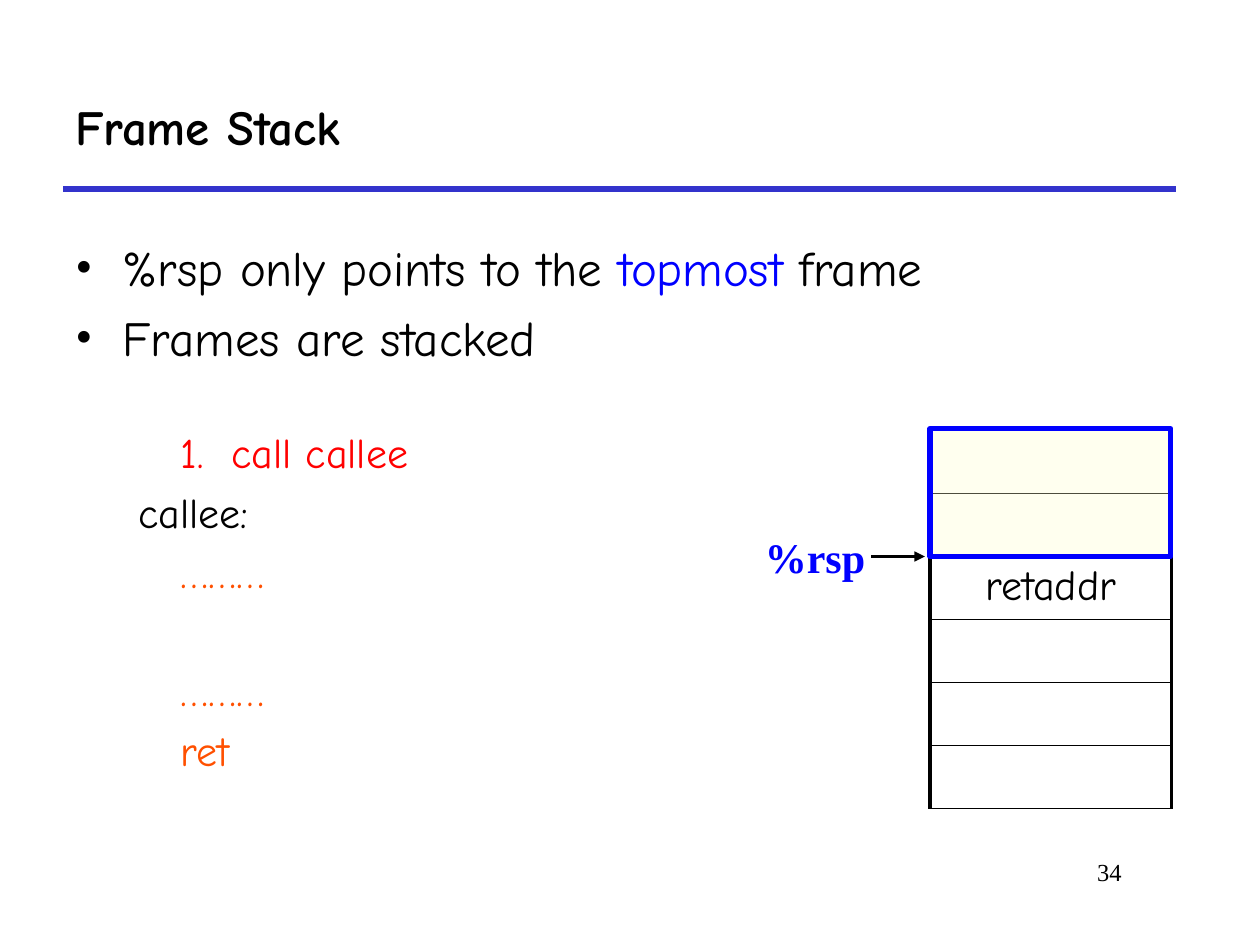
import pptx
import pptx.dml.color
import pptx.enum.shapes
import pptx.enum.text
import pptx.oxml
import pptx.oxml.ns
import pptx.util
from lxml import etree

Pt = pptx.util.Pt
RGBColor = pptx.dml.color.RGBColor
ALIGN = pptx.enum.text.PP_ALIGN
ANCHOR = pptx.enum.text.MSO_ANCHOR
qn = pptx.oxml.ns.qn

BLACK = RGBColor(0x00, 0x00, 0x00)
WHITE = RGBColor(0xFF, 0xFF, 0xFF)
BLUE = RGBColor(0x00, 0x00, 0xFF)
RULE_BLUE = RGBColor(0x33, 0x33, 0xCC)
RED = RGBColor(0xFF, 0x00, 0x00)
ORANGE = RGBColor(0xFF, 0x50, 0x00)
PALE_YELLOW = RGBColor(0xFF, 0xFF, 0xCC)
COMIC = "Comic Neue"
TIMES = "Times New Roman"

deck = pptx.Presentation()
deck.slide_width, deck.slide_height = Pt(720), Pt(540)
page = deck.slides.add_slide(deck.slide_layouts[6])


def add_text(left, top, width, height, lines, size, font=COMIC, bold=False, wrap=True):
    box = page.shapes.add_textbox(Pt(left), Pt(top), Pt(width), Pt(height))
    frame = box.text_frame
    frame.word_wrap = wrap
    for index, (spans, margin, hanging, before) in enumerate(lines):
        para = frame.paragraphs[0] if index == 0 else frame.add_paragraph()
        properties = para._p.get_or_add_pPr()
        properties.set("marL", str(int(Pt(margin))))
        properties.set("indent", str(int(Pt(-hanging))))
        if hanging:
            etree.SubElement(properties, qn("a:buFont")).set("typeface", TIMES)
            etree.SubElement(properties, qn("a:buChar")).set("char", "•")
        if index:
            para.space_before = Pt(before)
        para.font.size, para.font.name, para.font.bold = Pt(size), font, bold
        for text, color in spans:
            span = para.add_run()
            span.text = text
            span.font.color.rgb = color
    return frame


def add_line(start, end, y, color, width):
    line = page.shapes.add_connector(
        pptx.enum.shapes.MSO_CONNECTOR.STRAIGHT, Pt(start), Pt(y), Pt(end), Pt(y))
    line.line.color.rgb = color
    line.line.width = Pt(width)
    etree.SubElement(line._element.spPr, qn("a:effectLst"))
    return line


add_line(36, 672, 108, RULE_BLUE, 3)

table_shape = page.shapes.add_table(6, 1, Pt(531.5), Pt(246), Pt(138), Pt(216))
stack = table_shape.table
stack.first_row = stack.horz_banding = False
for row in stack.rows:
    cell = row.cells[0]
    properties = cell._tc.get_or_add_tcPr()
    for side, width in (("L", 2.25), ("R", 2.25), ("T", 1), ("B", 1)):
        border = etree.SubElement(properties, qn(f"a:ln{side}"))
        border.set("w", str(int(Pt(width))))
        border_fill = etree.SubElement(border, qn("a:solidFill"))
        etree.SubElement(border_fill, qn("a:srgbClr")).set("val", str(BLACK))
    cell.fill.solid()
    cell.fill.fore_color.rgb = WHITE

return_cell = stack.cell(2, 0)
return_cell.text = "retaddr"
para = return_cell.text_frame.paragraphs[0]
para.alignment = ALIGN.CENTER
para.font.size, para.font.name = Pt(24), COMIC
para.font.color.rgb = BLACK

number = add_text(546, 486, 102, 36, [([("34", BLACK)], 0, 0, 0)], 14, TIMES)
number.paragraphs[0].alignment = ALIGN.RIGHT

title = add_text(36, 36, 636, 72, [([("Frame Stack", BLACK)], 0, 0, 0)], 28, bold=True)
title.vertical_anchor = ANCHOR.MIDDLE

add_text(36, 132, 600, 84, [
    ([("%rsp only points to the ", BLACK), ("topmost ", BLUE), ("frame", BLACK)], 27, 27, 0),
    ([("Frames are stacked", BLACK)], 27, 27, 6.5),
], 28)

add_text(430, 300, 73, 37, [([("%rsp", BLUE)], 0, 0, 0)], 24, TIMES, True, False)
pointer = add_line(498, 528.5, 318, BLACK, 1.5)
etree.SubElement(pointer.line._get_or_add_ln(), qn("a:tailEnd")).set("type", "triangle")

add_text(36, 240, 360, 245, [
    ([("1.  call callee", RED)], 60, 0, 0),
    ([("callee:", BLACK)], 36, 0, 5.5),
    ([("………", ORANGE)], 60, 0, 5.5),
    ([("………", ORANGE)], 60, 0, 39),
    ([("ret", ORANGE)], 60, 0, 5.5),
], 24)

top_frame = page.shapes.add_shape(
    pptx.enum.shapes.MSO_SHAPE.RECTANGLE, Pt(531.5), Pt(245), Pt(137.5), Pt(73))
top_frame.shadow.inherit = False
top_frame.fill.solid()
top_frame.fill.fore_color.rgb = PALE_YELLOW
tint = top_frame._element.spPr.find(qn("a:solidFill")).find(qn("a:srgbClr"))
etree.SubElement(tint, qn("a:alpha")).set("val", "30000")
top_frame.line.color.rgb = BLUE
top_frame.line.width = Pt(3)

deck.save("out.pptx")
